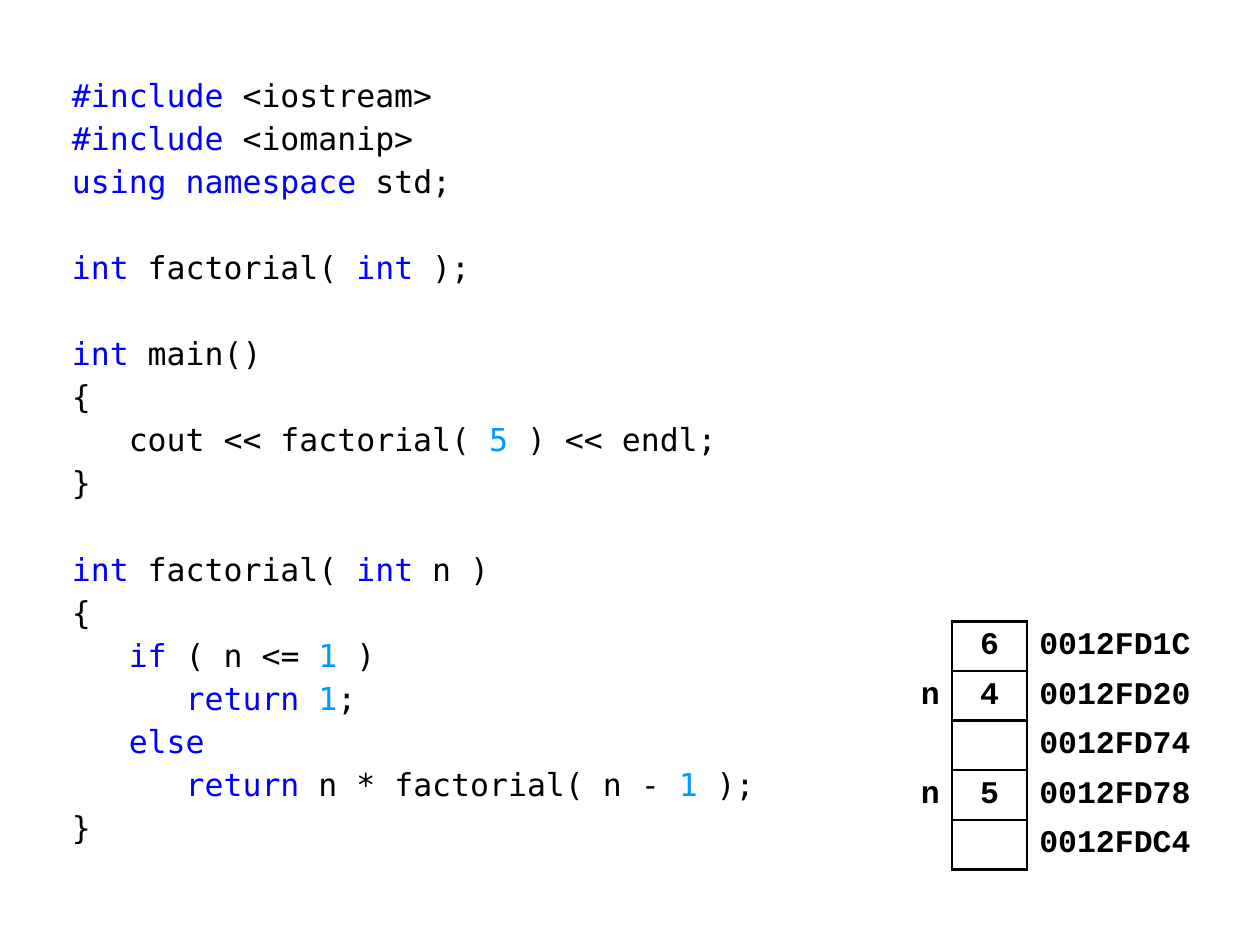
from dataclasses import dataclass
from itertools import groupby

from lxml import etree
from pptx import Presentation
from pptx.dml.color import RGBColor
from pptx.enum import text
from pptx.oxml import ns
from pptx.util import Pt


@dataclass(frozen=True)
class Theme:
    ink: str = "000000"
    word: str = "0000FF"
    digit: str = "0099FF"
    code: str = "DejaVu Sans Mono"
    cell: str = "Courier New"
    size: float = 18
    line: float = 1.5


@dataclass(frozen=True)
class Slot:
    name: str
    value: str
    place: str


THEME = Theme()
WORDS = {"#include", "using", "namespace", "int", "if", "else", "return"}
GAP, PITCH = 3, 24.6

CODE = """\
#include <iostream>
#include <iomanip>
using namespace std;

int factorial( int );

int main()
{
   cout << factorial( 5 ) << endl;
}

int factorial( int n )
{
   if ( n <= 1 )
      return 1;
   else
      return n * factorial( n - 1 );
}"""

# Call stack, top of memory first
FREE = 6
STACK = [
    Slot("", "6", "0012FD1C"),
    Slot("n", "4", "0012FD20"),
    Slot("", "", "0012FD74"),
    Slot("n", "5", "0012FD78"),
    Slot("", "", "0012FDC4"),
]


def add_run(para, words: str, face: str, tint: str, bold: bool = False) -> None:
    run = para.add_run()
    run.text = words
    font = run.font
    font.name, font.size, font.bold = face, Pt(THEME.size), bold
    font.color.rgb = RGBColor.from_string(tint)


def tint_of(token: str) -> str:
    if token in WORDS:
        return THEME.word
    return THEME.digit if token.isdigit() else THEME.ink


def add_code(slide, code: str) -> None:
    box = slide.shapes.add_textbox(Pt(34), Pt(43.4), Pt(411), Pt(439))
    frame = box.text_frame
    frame.word_wrap = True
    frame.margin_top = frame.margin_bottom = 0
    para, gap = frame.paragraphs[0], 0
    for num, line in enumerate(code.splitlines()):
        # An empty line becomes space before the next one
        if not line:
            gap += PITCH
            continue
        if num:
            para = frame.add_paragraph()
        para.space_before = Pt(gap)
        tokens = ["".join(part) for _, part in
                  groupby(line, lambda c: c.isalnum() or c == "#")]
        for tint, part in groupby(tokens, tint_of):
            add_run(para, "".join(part), THEME.code, tint)
        gap = GAP


def set_edges(cell, drawn: str) -> None:
    """Draw the sides named in drawn (L, R, T, B); clear the others."""
    props = cell._tc.get_or_add_tcPr()
    for side in "LRTB":
        edge = etree.SubElement(props, ns.qn(f"a:ln{side}"), w=str(Pt(THEME.line)))
        if side in drawn:
            fill = etree.SubElement(edge, ns.qn("a:solidFill"))
            etree.SubElement(fill, ns.qn("a:srgbClr"), val=THEME.ink)
        else:
            etree.SubElement(edge, ns.qn("a:noFill"))


def fill_cell(cell, words: str, align, drawn: str) -> None:
    set_edges(cell, drawn)
    cell.fill.background()
    cell.margin_top = cell.margin_bottom = Pt(2.9)
    # Addresses need nearly the whole column
    if align == text.PP_ALIGN.LEFT:
        cell.margin_right = Pt(5)
    cell.vertical_anchor = text.MSO_ANCHOR.MIDDLE
    para = cell.text_frame.paragraphs[0]
    para.alignment = align
    if words:
        add_run(para, words, THEME.cell, THEME.ink, True)


def add_stack(slide, slots: list[Slot]) -> None:
    widths, high = (28, 42.5, 99.5), 28.35
    rows = [Slot("", "", "")] * FREE + slots
    table = slide.shapes.add_table(
        len(rows), len(widths), Pt(516.2), Pt(185),
        Pt(sum(widths)), Pt(high * len(rows))).table
    table.first_row = table.horz_banding = False
    for col, wide in zip(table.columns, widths):
        col.width = Pt(wide)
    pa = text.PP_ALIGN
    aligns = (pa.RIGHT, pa.CENTER, pa.LEFT)
    for num, slot in enumerate(rows):
        table.rows[num].height = Pt(high)
        # Only the value column of used rows is boxed
        if num >= FREE:
            edges = ("R", "LRTB", "L")
        else:
            edges = ("", "B" if num == FREE - 1 else "", "")
        words = (slot.name, slot.value, slot.place)
        for col, args in enumerate(zip(words, aligns, edges)):
            fill_cell(table.cell(num, col), *args)


def main() -> None:
    deck = Presentation()
    deck.slide_width, deck.slide_height = Pt(720), Pt(540)
    slide = deck.slides.add_slide(deck.slide_layouts[6])
    add_code(slide, CODE)
    add_stack(slide, STACK)
    deck.save("out.pptx")


if __name__ == "__main__":
    main()
